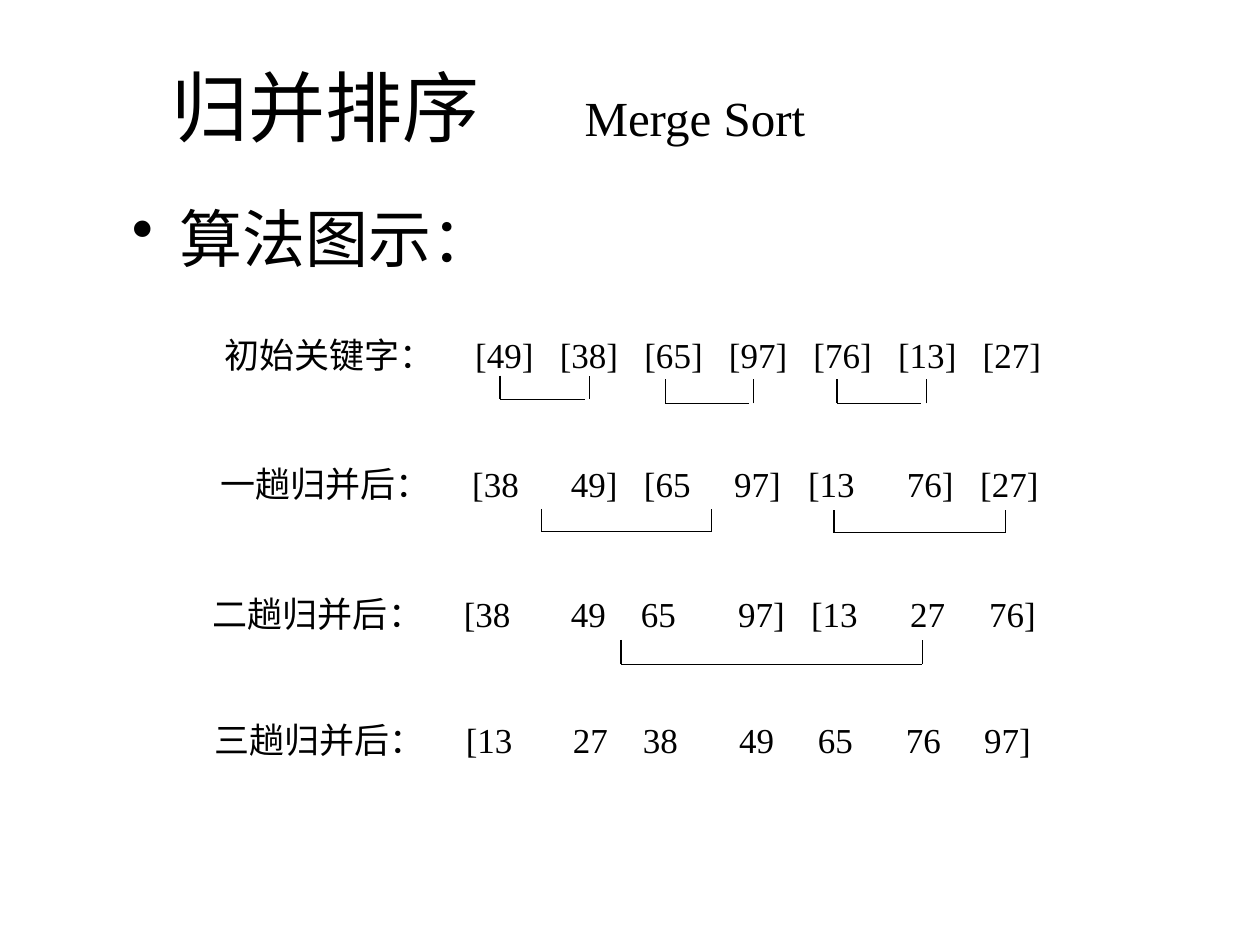
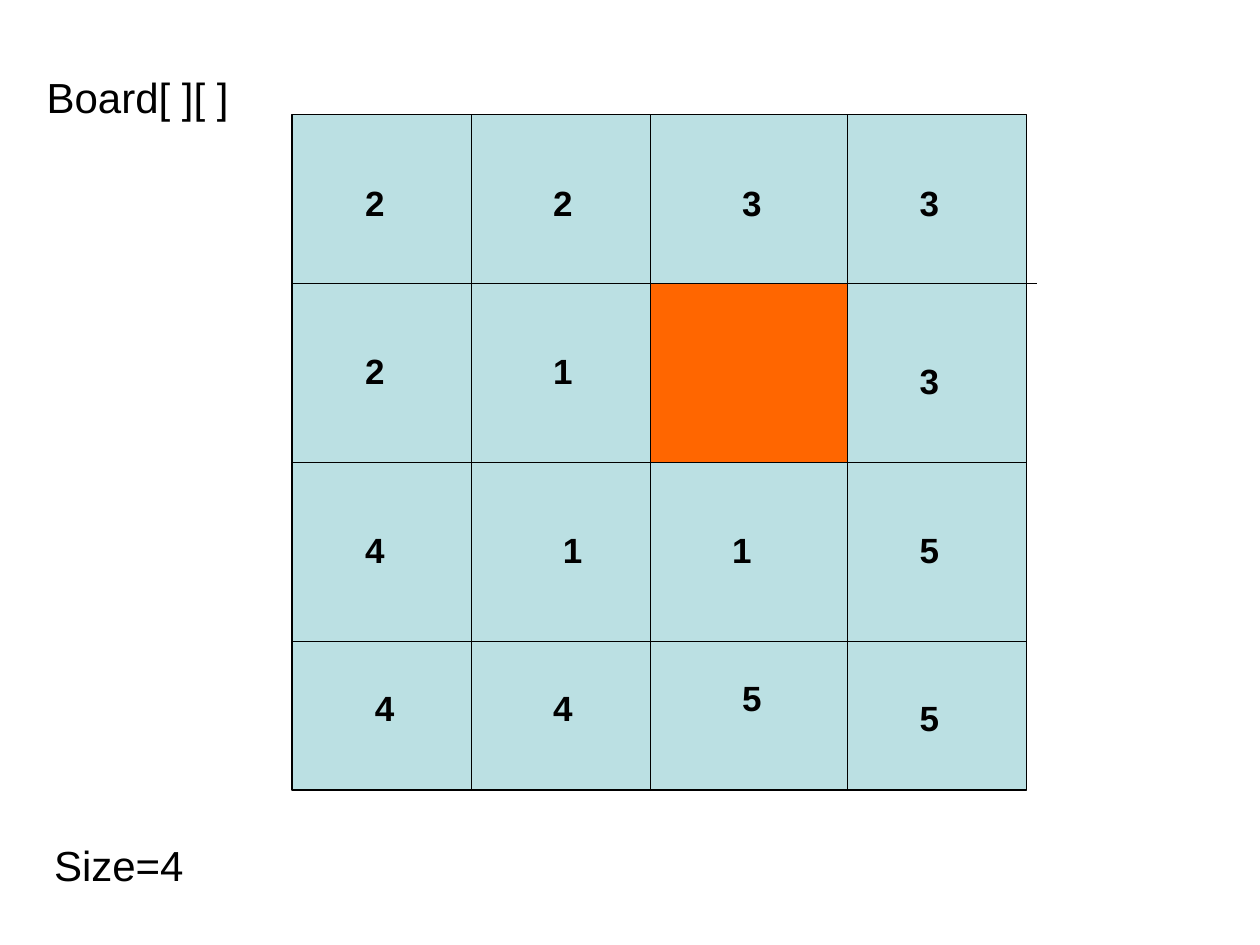
from lxml import etree
from pptx import Presentation
from pptx.dml.color import RGBColor
from pptx.enum.shapes import MSO_CONNECTOR, MSO_SHAPE
from pptx.enum.text import MSO_ANCHOR, MSO_AUTO_SIZE, PP_ALIGN
from pptx.oxml.ns import qn
from pptx.util import Cm, Pt

STRAIGHT = MSO_CONNECTOR.STRAIGHT
RECTANGLE = MSO_SHAPE.RECTANGLE
BOTTOM = MSO_ANCHOR.BOTTOM
NO_AUTOFIT = MSO_AUTO_SIZE.NONE
LEFT = PP_ALIGN.LEFT

COLORS = {"ink": "000000", "board": "BBE0E3", "hole": "FF6600"}
INK = RGBColor.from_string(COLORS["ink"])
SERIF, SANS = "Times New Roman", "Arial"
LINE_WIDTH = Pt(0.75)


def add_text(slide, text, left, top, width, height, size, font, tabs=(), bold=False):
    box = slide.shapes.add_textbox(Cm(left), Cm(top), Cm(width), Cm(height))
    box.text_frame.word_wrap = True
    paragraph = box.text_frame.paragraphs[0]
    paragraph.add_run().text = text
    if tabs:
        stops = etree.SubElement(paragraph._p.get_or_add_pPr(), qn("a:tabLst"))
        for stop in tabs:
            etree.SubElement(stops, qn("a:tab"), pos=str(Cm(stop)), algn="l")
    paragraph.font.size = Pt(size)
    paragraph.font.name = font
    paragraph.font.bold = bold
    paragraph.font.color.rgb = INK
    return paragraph


def add_line(slide, x1, y1, x2, y2):
    line = slide.shapes.add_connector(STRAIGHT, Cm(x1), Cm(y1), Cm(x2), Cm(y2))
    line.line.color.rgb = INK
    line.line.width = LINE_WIDTH
    etree.SubElement(line._element.spPr, qn("a:effectLst"))


prs = Presentation()
prs.slide_width, prs.slide_height = Cm(25.4), Cm(19.05)
title_only, blank = prs.slide_layouts[5], prs.slide_layouts[6]

# Slide 1: merge sort, title
merge_slide = prs.slides.add_slide(title_only)
title = merge_slide.shapes.title
title.left, title.top, title.width, title.height = Cm(3.2), Cm(0), Cm(21.64), Cm(3.18)
title.text_frame.auto_size = NO_AUTOFIT
title.text_frame.vertical_anchor = BOTTOM
heading = title.text_frame.paragraphs[0]
heading.alignment = LEFT
stops = etree.SubElement(heading._p.get_or_add_pPr(), qn("a:tabLst"))
etree.SubElement(stops, qn("a:tab"), pos=str(Cm(8.33)), algn="l")
for words, size, font in (("归并排序\t", 44, SANS), ("Merge Sort", 28, SERIF)):
    run = heading.add_run()
    run.text = words
    run.font.size = Pt(size)
    run.font.name = font
    run.font.color.rgb = INK

# Bulleted lead-in
lead = add_text(merge_slide, "算法图示：", 2.41, 4.19, 21.44, 1.52, 36, SERIF)
lead_format = lead._p.get_or_add_pPr()
lead_format.set("marL", str(Cm(0.95)))
lead_format.set("indent", str(-Cm(0.95)))
bullet = etree.Element(qn("a:buChar"), char="•")
lead_format.insert(0, bullet)
lead.line_spacing = 0.8
lead.space_before = Pt(9)

# One row per pass: label, left, top, keys, left edge of each key
passes = [
    ("初始关键字：", 4.27, 6.6, "[49] [38] [65] [97] [76] [13] [27]",
     [9.58 + 1.705 * i for i in range(7)]),
    ("一趟归并后：", 4.2, 9.19, "[38 49] [65 97] [13 76] [27]",
     [9.52, 11.51, 12.98, 14.8, 16.29, 18.28, 19.76]),
    ("二趟归并后：", 4.04, 11.81, "[38 49 65 97] [13 27 76]",
     [9.35, 11.51, 12.92, 14.88, 16.35, 18.35, 19.94]),
    ("三趟归并后：", 4.08, 14.35, "[13 27 38 49 65 76 97]",
     [9.39, 11.55, 12.96, 14.9, 16.49, 18.26, 19.84]),
]
INSET = 0.25
for label, left, top, keys, key_lefts in passes:
    add_text(merge_slide, "\t".join([label] + keys.split()), left, top, 17.3, 1.12,
             20, SERIF, [x - left - INSET for x in key_lefts])

# Brackets joining merged runs: left, right, top, bottom, gap at right
brackets = [
    (10.08, 11.89, 7.57, 8.05, 0.1),
    (13.41, 15.19, 7.65, 8.13, 0.1),
    (16.87, 18.67, 7.65, 8.13, 0.1),
    (10.92, 14.35, 10.26, 10.72, 0),
    (16.81, 20.27, 10.29, 10.74, 0),
    (12.52, 18.59, 12.9, 13.39, 0),
]
for left, right, top, bottom, gap in brackets:
    add_line(merge_slide, left, top, left, bottom)
    add_line(merge_slide, left, bottom, right - gap, bottom)
    add_line(merge_slide, right, bottom, right, top)

# Slide 2: chessboard cover
board_slide = prs.slides.add_slide(blank)
col_edges = [5.89, 9.5, 13.11, 17.09, 20.7]
row_edges = [2.31, 5.72, 9.32, 12.93, 15.93]
board_area = (col_edges[0], row_edges[0], col_edges[-1], row_edges[-1])
hole_area = (col_edges[2], row_edges[1], col_edges[3], row_edges[2])

# Board and grid lines, then the special square over them
for part, (left, top, right, bottom) in (("board", board_area), ("hole", hole_area)):
    square = board_slide.shapes.add_shape(
        RECTANGLE, Cm(left), Cm(top), Cm(right - left), Cm(bottom - top))
    square.shadow.inherit = False
    square.fill.solid()
    square.fill.fore_color.rgb = RGBColor.from_string(COLORS[part])
    square.line.color.rgb = INK
    square.line.width = LINE_WIDTH
    if part == "board":
        for x in col_edges[1:-1]:
            add_line(board_slide, x, top, x, bottom)
        for y, overhang in zip(row_edges[1:-1], (0.2, 0, 0)):
            add_line(board_slide, left, y, right + overhang, y)

# Tile numbers, some nudged from the regular grid (row, column): (dx, dy)
tiles = ["2233", "21 3", "4115", "4455"]
tile_lefts = [7.11, 10.9, 14.71, 18.29]
tile_tops = [3.53, 6.93, 10.52, 13.72]
nudges = {(1, 3): (0, 0.2), (2, 1): (0.2, 0), (2, 2): (-0.2, 0),
          (3, 0): (0.2, 0), (3, 2): (0, -0.2), (3, 3): (0, 0.2)}
for row, numbers in enumerate(tiles):
    for col, number in enumerate(numbers):
        if number != " ":
            dx, dy = nudges.get((row, col), (0, 0))
            add_text(board_slide, number, tile_lefts[col] + dx, tile_tops[row] + dy,
                     0.91, 1.12, 20, SANS, bold=True)

# Variable captions
board_caption = add_text(board_slide, "Board[ ][ ]", 0.69, 1.32, 4.39, 1.27, 24, SANS)
board_caption.space_before = Pt(15)
add_text(board_slide, "Size=4", 0.84, 16.79, 3.2, 1.27, 24, SANS)

prs.save("out.pptx")
